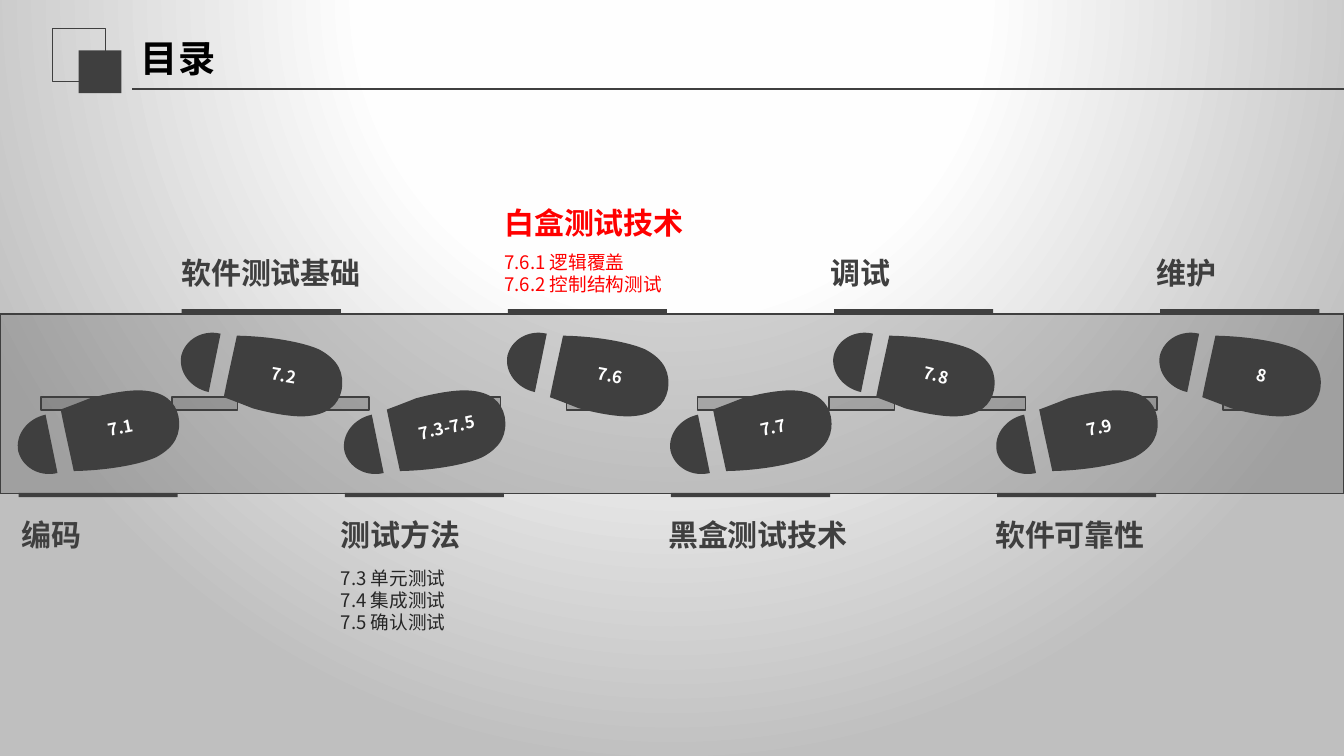
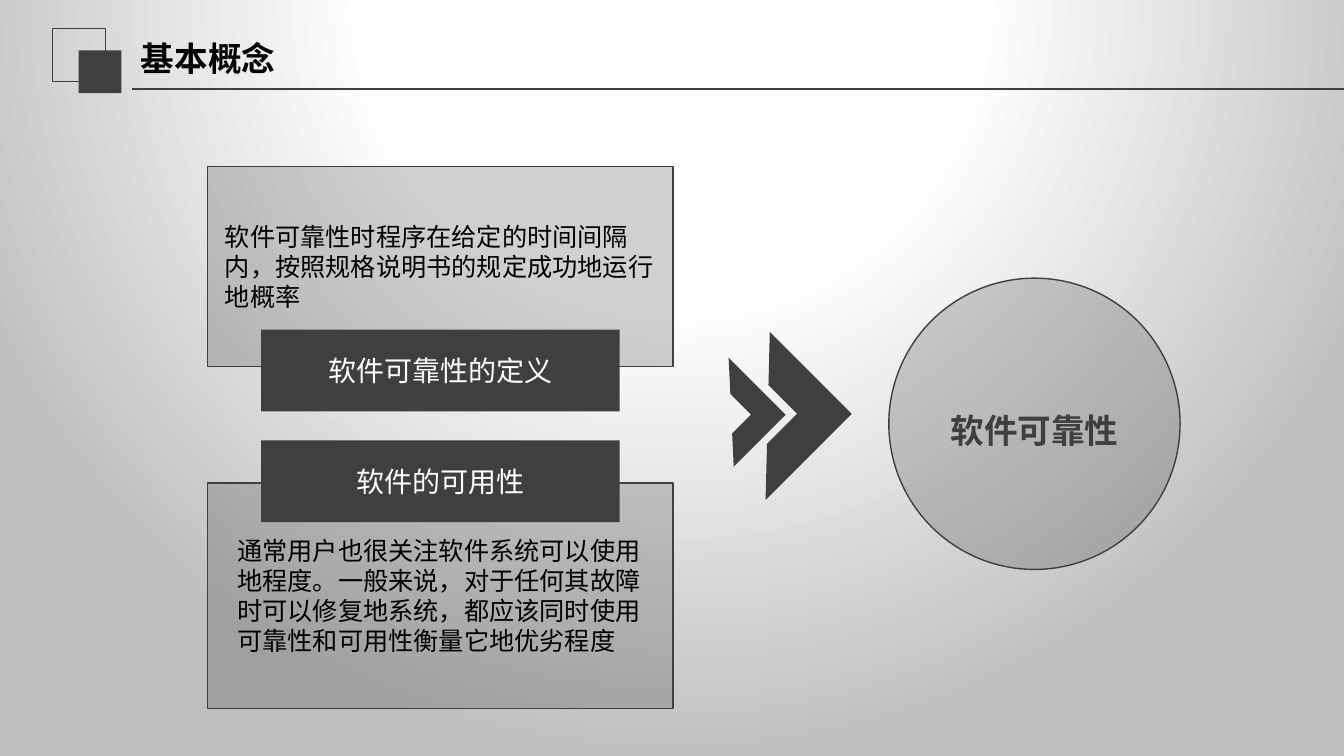
from dataclasses import dataclass
from typing import NamedTuple

from lxml import etree
from pptx import Presentation
from pptx.dml.color import RGBColor
from pptx.enum.shapes import MSO_CONNECTOR, MSO_SHAPE
from pptx.enum.text import MSO_ANCHOR, PP_ALIGN
from pptx.oxml.ns import qn
from pptx.util import Cm, Pt

RECT = MSO_SHAPE.RECTANGLE
OVAL = MSO_SHAPE.OVAL
FRAME = MSO_SHAPE.HALF_FRAME
LINE = MSO_CONNECTOR.STRAIGHT
LEFT, MID = PP_ALIGN.LEFT, PP_ALIGN.CENTER
TOP, CENTER = MSO_ANCHOR.TOP, MSO_ANCHOR.MIDDLE


@dataclass(frozen=True)
class Theme:
    dark: str = "3F3F3F"
    note: str = "262626"
    black: str = "000000"
    white: str = "FFFFFF"
    red: str = "FF0000"
    glow: tuple = ((0, "FFFFFF"), (40, "FEFEFE"), (100, "BFBFBF"))
    tint: int = 24
    font: str = "Noto Sans CJK SC"
    latin: str = "Calibri"
    title: float = 26.6
    head: float = 21.4
    sub: float = 13.3
    mark: float = 12
    body: float = 18
    label: float = 20
    big: float = 24
    lead: float = 1.19


THEME = Theme()
WIDTH, HEIGHT = 33.87, 19.05


class Box(NamedTuple):
    """Left, top, width and height in centimetres."""
    x: float
    y: float
    w: float
    h: float

    def emu(self) -> list:
        return [Cm(v) for v in self]


class Step(NamedTuple):
    mark: str
    turn: float
    name: str
    left: float
    notes: str = ""
    color: str = THEME.dark


class Card(NamedTuple):
    panel: Box
    plate: Box
    copy: Box
    name: str
    text: str


STEPS = (
    Step("7.1", -11.1, "编码", 0.55),
    Step("7.2", 9.9, "软件测试基础", 4.57),
    Step("7.3-7.5", -12.4, "测试方法", 8.59,
         "7.3 单元测试\n7.4 集成测试\n7.5 确认测试"),
    Step("7.6", 10.5, "白盒测试技术", 12.71,
         "7.6.1 逻辑覆盖\n7.6.2 控制结构测试", THEME.red),
    Step("7.7", -13.1, "黑盒测试技术", 16.84),
    Step("7.8", 14.1, "调试", 20.93),
    Step("7.9", -13.1, "软件可靠性", 25.08),
    Step("8", 14.1, "维护", 29.15),
)

CARDS = (
    Card(Box(5.23, 12.17, 11.73, 5.69), Box(6.58, 11.1, 9.04, 2.06),
         Box(5.65, 13.31, 10.9, 3.4), "软件的可用性",
         "通常用户也很关注软件系统可以使用地程度。一般来说，对于任何其故障时可以"
         "修复地系统，都应该同时使用可靠性和可用性衡量它地优劣程度"),
    Card(Box(5.23, 4.19, 11.73, 5.05), Box(6.58, 8.31, 9.04, 2.06),
         Box(5.34, 5.41, 11.51, 2.64), "软件可靠性的定义",
         "软件可靠性时程序在给定的时间间隔内，按照规格说明书的规定成功地运行地概率"),
)

# Footprint outlines: a start, then three points for each Bezier curve.
HEEL = (
    (0.69, 1.5),
    (0.23, 1.4), (-0.08, 0.99), (0, 0.58),
    (0.1, 0.18), (0.53, -0.08), (0.99, 0.03),
    (0.99, 0.03), (0.69, 1.5), (0.69, 1.5),
)
SOLE = (
    (1.07, 1.63),
    (1.07, 1.63), (1.4, 1.75), (1.8, 1.91),
    (2.24, 2.03), (2.77, 2.13), (3.12, 2.11),
    (3.68, 2.08), (3.96, 1.83), (4.04, 1.45),
    (4.11, 1.02), (3.96, 0.69), (3.48, 0.43),
    (3.15, 0.28), (2.62, 0.18), (2.18, 0.13),
    (1.73, 0.08), (1.4, 0.08), (1.4, 0.08),
    (1.27, 0.69), (1.17, 1.12), (1.07, 1.63),
)


def rgb(code: str) -> RGBColor:
    return RGBColor.from_string(code)


def paint(shape, *, fill=THEME.dark, alpha: int = 100, line: float = 0):
    """Set fill, opacity in percent and line width in points."""
    shape.shadow.inherit = False
    if fill:
        shape.fill.solid()
        shape.fill.fore_color.rgb = rgb(fill)
        if alpha < 100:
            tone = shape.element.spPr.find(qn("a:solidFill"))[0]
            etree.SubElement(tone, qn("a:alpha"), val=str(alpha * 1000))
    else:
        shape.fill.background()
    if line:
        shape.line.color.rgb = rgb(THEME.dark)
        shape.line.width = Pt(line)
    else:
        shape.line.fill.background()


def draw(slide, kind, box: Box, *, turn: float = 0, **look):
    shape = slide.shapes.add_shape(kind, *box.emu())
    shape.rotation = turn
    paint(shape, **look)


def put(slide, text: str, box: Box, *, size: float, color=THEME.black,
        bold=False, font=THEME.font, align=LEFT, anchor=TOP,
        pad=(0, 0), turn: float = 0):
    """Add a text box; each line of the text is a paragraph."""
    shape = slide.shapes.add_textbox(*box.emu())
    shape.rotation = turn
    frame = shape.text_frame
    frame.word_wrap = True
    frame.vertical_anchor = anchor
    frame.margin_left = frame.margin_right = Cm(pad[0])
    frame.margin_top = frame.margin_bottom = Cm(pad[1])
    frame.text = text
    for para in frame.paragraphs:
        para.alignment = align
        para.line_spacing = Pt(round(size * THEME.lead, 1))
        para.runs[0].font.size = Pt(size)
        para.runs[0].font.bold = bold
        para.runs[0].font.name = font
        para.runs[0].font.color.rgb = rgb(color)
    for prop in shape.element.iter(qn("a:pPr")):
        prop.set("hangingPunct", "0")
    for prop in shape.element.iter(qn("a:rPr")):
        etree.SubElement(prop, qn("a:ea"), typeface=THEME.font)


def glow(master):
    """Give the master a round gradient centred above the slide."""
    master.background.fill.gradient()
    grad = next(master.element.iter(qn("a:gradFill")))
    grad.clear()
    stops = etree.SubElement(grad, qn("a:gsLst"))
    for pos, code in THEME.glow:
        stop = etree.SubElement(stops, qn("a:gs"), pos=str(pos * 1000))
        etree.SubElement(stop, qn("a:srgbClr"), val=code)
    ring = etree.SubElement(grad, qn("a:path"), path="circle")
    etree.SubElement(ring, qn("a:fillToRect"),
                     l="50000", t="-80000", r="50000", b="180000")


def start(deck, title: str, size: float):
    """Add a slide with the shared header."""
    slide = deck.slides.add_slide(deck.slide_layouts[6])
    draw(slide, RECT, Box(1.32, 0.71, 1.34, 1.34), fill=None, line=0.75)
    draw(slide, RECT, Box(1.98, 1.27, 1.08, 1.08))
    rule = slide.shapes.add_connector(
        LINE, Cm(3.33), Cm(2.25), Cm(WIDTH), Cm(2.25))
    rule.line.color.rgb = rgb(THEME.dark)
    rule.line.width = Pt(1.25)
    etree.SubElement(rule.element.spPr, qn("a:effectLst"))
    put(slide, title, Box(3.3, 0.72, 12.04, 1.47), size=size, bold=True,
        font=THEME.latin, anchor=CENTER, pad=(0.25, 0.13))
    return slide


def bend(shape):
    """Turn each three straight segments of an outline into one curve."""
    lines = list(shape.element.iter(qn("a:lnTo")))
    for i in range(0, len(lines), 3):
        curve = etree.Element(qn("a:cubicBezTo"))
        lines[i].addprevious(curve)
        for line in lines[i:i + 3]:
            curve.append(line[0])
            line.getparent().remove(line)


def foot(slide, left: float, low: bool):
    """Draw a footprint, mirrored when it is on the lower row."""
    base, sign = (11.95, -1) if low else (8.38, 1)
    for chain in (HEEL, SOLE):
        dots = [(Cm(left + x), Cm(base + sign * y)) for x, y in chain]
        pen = slide.shapes.build_freeform(*dots[0], scale=1.0)
        pen.add_line_segments(dots[1:], close=True)
        shape = pen.convert_to_shape()
        bend(shape)
        paint(shape)


def walk(deck):
    slide = start(deck, "目录", THEME.title)
    glass = {"alpha": THEME.tint, "line": 1}
    draw(slide, RECT, Box(0, 7.91, WIDTH, 4.52), **glass)
    for i in range(10):
        draw(slide, RECT, Box(1.03 + 3.31 * i, 10, 1.65, 0.33), **glass)
    for i, step in enumerate(STEPS):
        low = i % 2 == 0
        left = 0.46 + 4.11 * i
        foot(slide, left, low)
        draw(slide, RECT,
             Box(left + 0.01, 12.42 if low else 7.79, 4.01, 0.11))
        put(slide, step.mark,
            Box(left + 1.35, 10.39 if low else 9.07, 2.46, 0.76),
            size=THEME.mark, color=THEME.white, bold=True, align=MID,
            pad=(0.25, 0.13), turn=step.turn)
        lift = 1.27 if step.notes and not low else 0
        top = 13.02 if low else 6.43 - lift
        wide = min(6.71, WIDTH - step.left)
        put(slide, step.name, Box(step.left, top, wide, 0.91),
            size=THEME.head, color=step.color, bold=True)
        if step.notes:
            tone = THEME.note if step.color == THEME.dark else step.color
            tall = 0.57 * len(step.notes.splitlines())
            put(slide, step.notes,
                Box(step.left, top + (1.26 if low else 1.17), wide, tall),
                size=THEME.sub, color=tone)


def idea(deck):
    slide = start(deck, "基本概念", THEME.big)
    glass = {"alpha": THEME.tint, "line": 1}
    for card in CARDS:
        draw(slide, RECT, card.panel, **glass)
        put(slide, card.text, card.copy, size=THEME.body, pad=(0.33, 0.18))
        draw(slide, RECT, card.plate)
        put(slide, card.name, card.plate, size=THEME.label,
            color=THEME.white, align=MID, anchor=CENTER)
    for box in (Box(17.5, 9.37, 1.85, 2.03), Box(17.81, 9.02, 3.07, 2.92)):
        draw(slide, FRAME, box, turn=135)
    draw(slide, OVAL, Box(22.4, 7.01, 7.34, 7.34), **glass)
    put(slide, "软件可靠性", Box(23.24, 9.26, 5.66, 3.18), size=THEME.big,
        color=THEME.dark, bold=True, align=MID, anchor=CENTER)


def main():
    deck = Presentation()
    deck.slide_width, deck.slide_height = Cm(WIDTH), Cm(HEIGHT)
    glow(deck.slide_master)
    walk(deck)
    idea(deck)
    deck.save("out.pptx")


if __name__ == "__main__":
    main()
